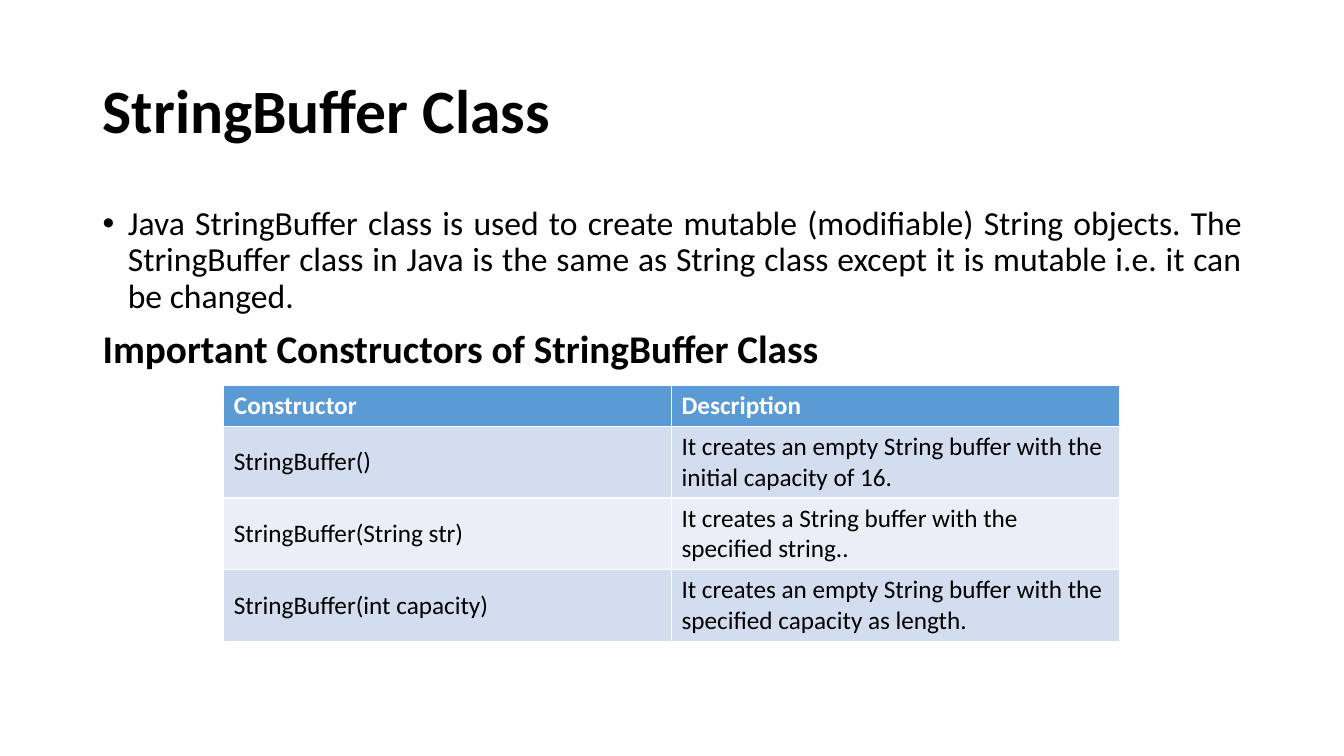
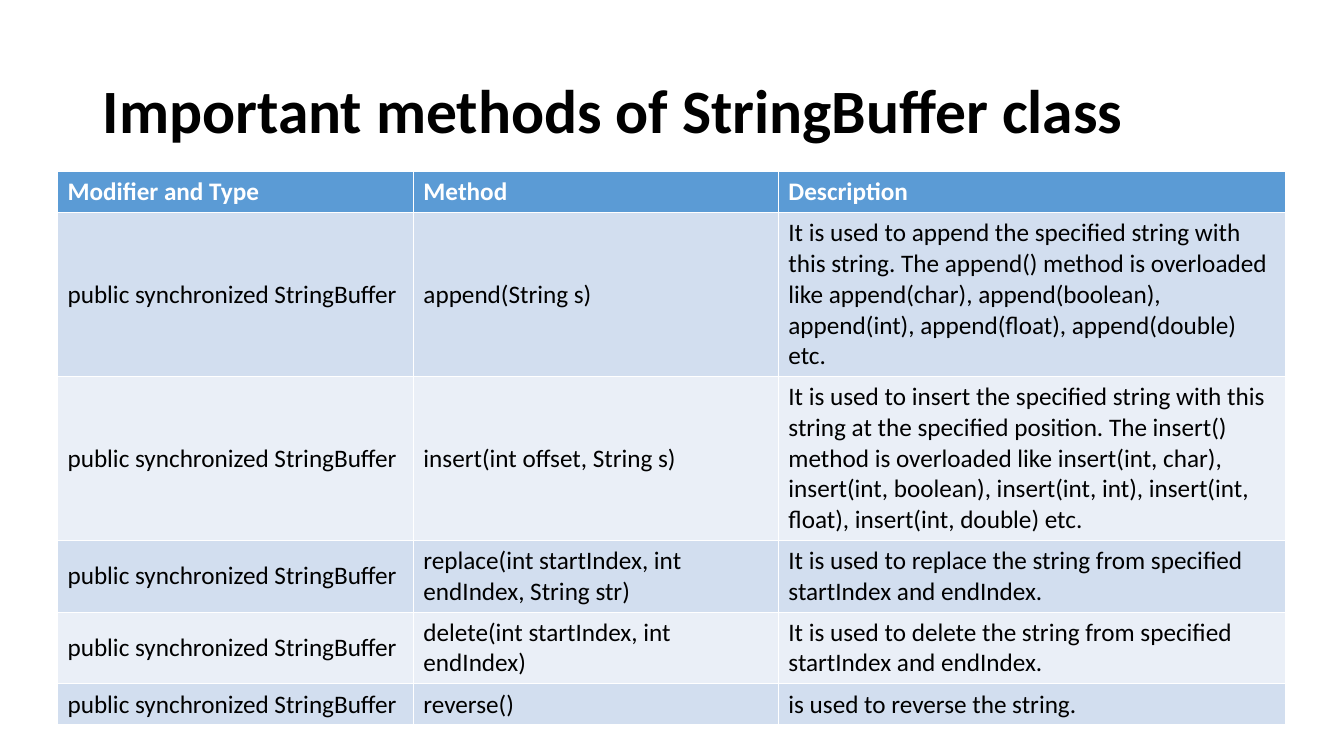
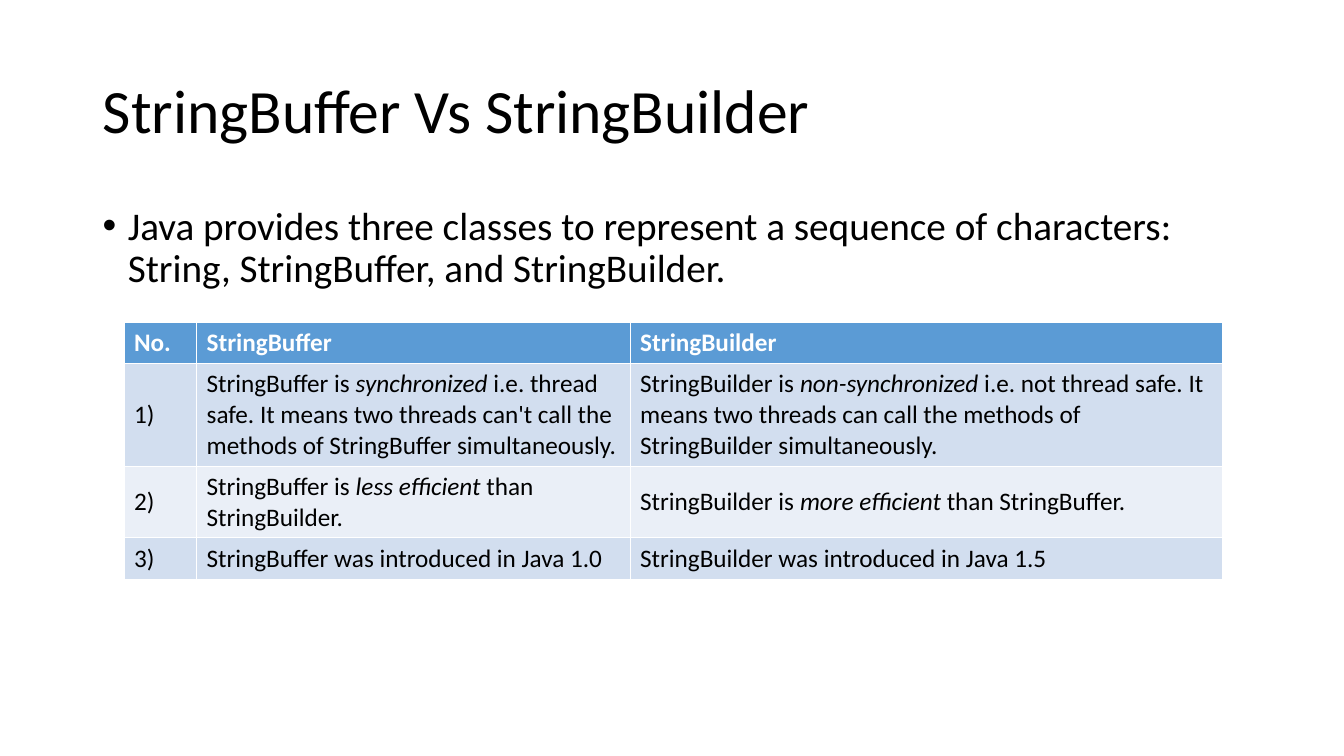
from lxml import etree
from pptx import Presentation
from pptx.dml.color import RGBColor
from pptx.enum.text import MSO_ANCHOR, MSO_AUTO_SIZE, PP_ALIGN
from pptx.oxml.ns import qn
from pptx.util import Inches, Pt

LEFT, JUSTIFY = PP_ALIGN.LEFT, PP_ALIGN.JUSTIFY
MIDDLE, TOP = MSO_ANCHOR.MIDDLE, MSO_ANCHOR.TOP
NO_FIT = MSO_AUTO_SIZE.NONE

# Shared style
FONT = "Calibri"
BLACK, WHITE = "000000", "FFFFFF"
HEADER_FILL, BANDS = "5B9BD5", ("D2DEEF", "EAEFF7")
TITLE_BOX = (0.92, 0.4, 11.5, 1.45)
BODY_BOX = (0.92, 2, 11.5, 4.76)
ROW_HEIGHT, EXTRA_LINE = 0.41, 0.3

# Content: text between asterisks is italic; "lines" counts text lines per row
RETURN_TYPE = "public synchronized StringBuffer"
SLIDES = [
    {
        "title": "StringBuffer Class",
        "title_bold": True,
        "body": [
            ("Java StringBuffer class is used to create mutable (modifiable) String objects. "
             "The StringBuffer class in Java is the same as String class except it is mutable "
             "i.e. it can be changed.", {"size": 24, "align": JUSTIFY, "bullet": True}),
            ("Important Constructors of StringBuffer Class",
             {"size": 28, "align": JUSTIFY, "bold": True}),
        ],
        "at": (2.22, 3.82),
        "columns": (4.44, 4.44),
        "lines": (1, 2, 2, 2),
        "rows": [
            ("Constructor", "Description"),
            ("StringBuffer()",
             "It creates an empty String buffer with the initial capacity of 16."),
            ("StringBuffer(String str)",
             "It creates a String buffer with the specified string.."),
            ("StringBuffer(int capacity)",
             "It creates an empty String buffer with the specified capacity as length."),
        ],
    },
    {
        "title": "Important methods of StringBuffer class",
        "title_bold": True,
        "body": [],
        "at": (0.57, 1.7),
        "columns": (3.53, 3.62, 5.03),
        "lines": (1, 5, 5, 2, 2, 1),
        "rows": [
            ("Modifier and Type", "Method", "Description"),
            (RETURN_TYPE, "append(String s)",
             "It is used to append the specified string with this string. The append() method "
             "is overloaded like append(char), append(boolean), append(int), append(float), "
             "append(double) etc."),
            (RETURN_TYPE, "insert(int offset, String s)",
             "It is used to insert the specified string with this string at the specified "
             "position. The insert() method is overloaded like insert(int, char), "
             "insert(int, boolean), insert(int, int), insert(int, float), "
             "insert(int, double) etc."),
            (RETURN_TYPE, "replace(int startIndex, int endIndex, String str)",
             "It is used to replace the string from specified startIndex and endIndex."),
            (RETURN_TYPE, "delete(int startIndex, int endIndex)",
             "It is used to delete the string from specified startIndex and endIndex."),
            (RETURN_TYPE, "reverse()", "is used to reverse the string."),
        ],
    },
    {
        "title": "StringBuffer Vs StringBuilder",
        "title_bold": False,
        "body": [
            ("Java provides three classes to represent a sequence of characters: "
             "String, StringBuffer, and StringBuilder.", {"size": 28, "bullet": True}),
        ],
        "at": (1.23, 3.2),
        "columns": (0.72, 4.3, 5.88),
        "lines": (1, 3, 2, 1),
        "rows": [
            ("No.", "StringBuffer", "StringBuilder"),
            ("1)",
             "StringBuffer is *synchronized* i.e. thread safe. It means two threads can't call "
             "the methods of StringBuffer simultaneously.",
             "StringBuilder is *non-synchronized* i.e. not thread safe. It means two threads "
             "can call the methods of StringBuilder simultaneously."),
            ("2)", "StringBuffer is *less efficient* than StringBuilder.",
             "StringBuilder is *more efficient* than StringBuffer."),
            ("3)", "StringBuffer was introduced in Java 1.0",
             "StringBuilder was introduced in Java 1.5"),
        ],
    },
]


def rgb(value):
    return RGBColor.from_string(value)


def write(paragraph, text, size=18, color=BLACK, bold=False, align=LEFT,
          line_spacing=None, space_before=0, bullet=False):
    paragraph.alignment = align
    paragraph.line_spacing = line_spacing
    paragraph.space_before = Pt(space_before)
    for index, part in enumerate(text.split("*")):
        run = paragraph.add_run()
        run.text = part
        run.font.name = FONT
        run.font.size = Pt(size)
        run.font.bold = bold
        run.font.italic = index % 2 == 1
        run.font.color.rgb = rgb(color)
    if bullet:
        properties = paragraph._p.get_or_add_pPr()
        properties.set("marL", str(Inches(0.25)))
        properties.set("indent", str(Inches(-0.25)))
        etree.SubElement(properties, qn("a:buFont")).set("typeface", "Arial")
        etree.SubElement(properties, qn("a:buChar")).set("char", "•")


def set_frame(frame, anchor):
    frame.word_wrap = True
    frame.auto_size = NO_FIT
    frame.vertical_anchor = anchor


def add_title(slide, text, bold):
    title = slide.shapes.title
    title.left, title.top, title.width, title.height = map(Inches, TITLE_BOX)
    set_frame(title.text_frame, MIDDLE)
    write(title.text_frame.paragraphs[0], text, size=44, bold=bold, line_spacing=0.9)


def add_body(slide, paragraphs):
    frame = slide.shapes.add_textbox(*map(Inches, BODY_BOX)).text_frame
    set_frame(frame, TOP)
    for index, (text, style) in enumerate(paragraphs):
        paragraph = frame.add_paragraph() if index else frame.paragraphs[0]
        write(paragraph, text, line_spacing=0.9, space_before=10, **style)


def add_grid(slide, at, columns, lines, rows):
    heights = [ROW_HEIGHT + EXTRA_LINE * (count - 1) for count in lines]
    box = (*at, sum(columns), sum(heights))
    table = slide.shapes.add_table(len(rows), len(columns), *map(Inches, box)).table
    for column, width in zip(table.columns, columns):
        column.width = Inches(width)
    for index, (row, height, texts) in enumerate(zip(table.rows, heights, rows)):
        row.height = Inches(height)
        header = index == 0
        for cell, text in zip(row.cells, texts):
            cell.vertical_anchor = MIDDLE
            cell.fill.solid()
            cell.fill.fore_color.rgb = rgb(HEADER_FILL if header else BANDS[(index - 1) % 2])
            write(cell.text_frame.paragraphs[0], text, bold=header,
                  color=WHITE if header else BLACK)


def main():
    deck = Presentation()
    deck.slide_width, deck.slide_height = Inches(13.33), Inches(7.5)
    title_only = deck.slide_layouts[5]
    for content in SLIDES:
        slide = deck.slides.add_slide(title_only)
        add_title(slide, content["title"], content["title_bold"])
        if content["body"]:
            add_body(slide, content["body"])
        add_grid(slide, content["at"], content["columns"], content["lines"], content["rows"])
    deck.save("out.pptx")


if __name__ == "__main__":
    main()
